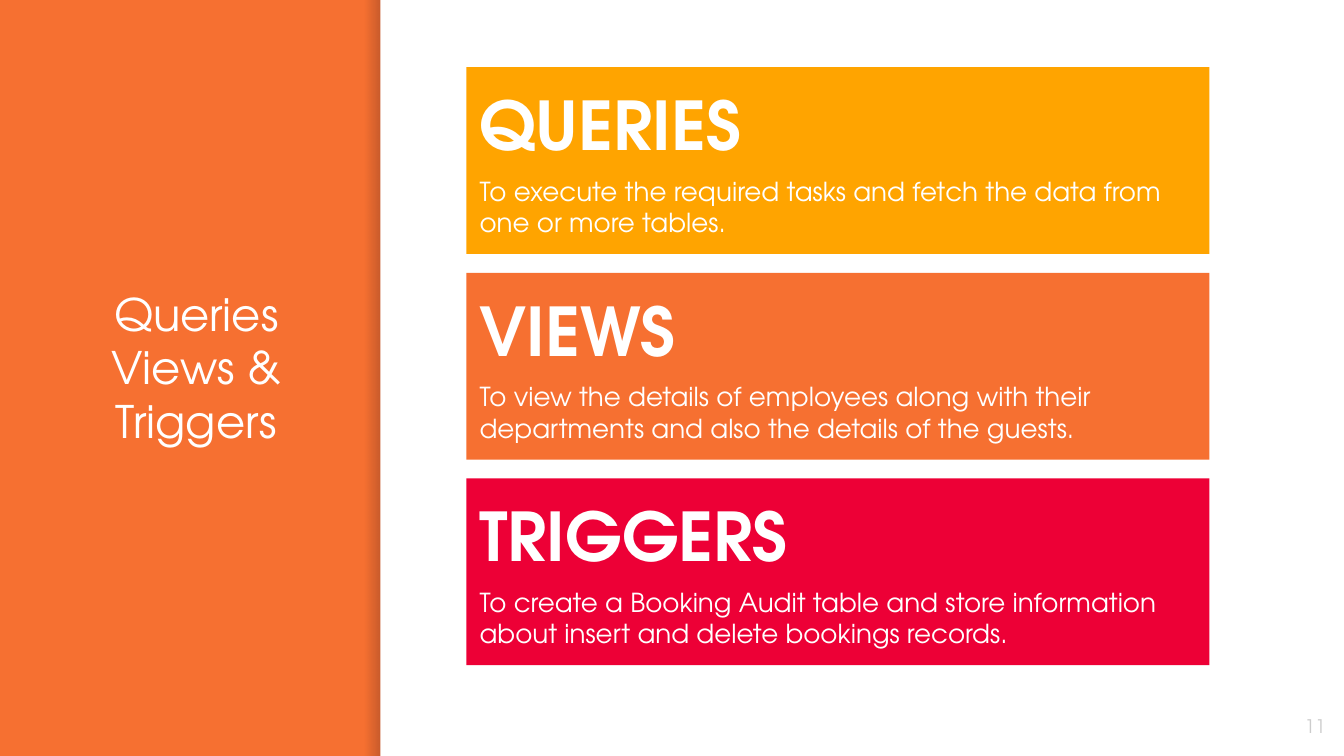
from dataclasses import dataclass
from lxml import etree
from pptx import Presentation
from pptx.dml.color import RGBColor
from pptx.enum import shapes, text
from pptx.oxml.ns import qn
from pptx.util import Inches, Pt


@dataclass(frozen=True)
class Theme:
    """Colours, font and type sizes."""
    font: str = "TeX Gyre Adventor"
    white: str = "FFFFFF"
    amber: str = "FFA400"
    orange: str = "F67031"
    red: str = "ED0036"
    gray: str = "CCCCCC"
    shade: str = "000014"
    title: int = 24
    head: int = 36
    body: int = 14
    small: int = 10


@dataclass(frozen=True)
class Box:
    """A rectangle in inches."""
    left: float
    top: float
    width: float
    height: float

    def size(self) -> tuple:
        """Return the four lengths."""
        return tuple(map(Inches, (self.left, self.top, self.width, self.height)))


@dataclass(frozen=True)
class Panel:
    """A coloured card with a heading and a note."""
    head: str
    note: str
    color: str


THEME = Theme()
WIDE = 10
HIGH = WIDE * 9 / 16
SPLIT = 2.83
FIRST, STEP = 0.5, 1.53
LINES = ("Queries", "Views &", "Triggers")
PANELS = (
    Panel("QUERIES", "To execute the required tasks and fetch the data from one or more tables.",
          THEME.amber),
    Panel("VIEWS", "To view the details of employees along with their departments "
          "and also the details of the guests.", THEME.orange),
    Panel("TRIGGERS", "To create a Booking Audit table and store information "
          "about insert and delete bookings records.", THEME.red),
)


def add_rect(slide, box: Box):
    """Add a plain rectangle without line or shadow."""
    rect = slide.shapes.add_shape(shapes.MSO_SHAPE.RECTANGLE, *box.size())
    rect.shadow.inherit = False
    rect.line.fill.background()
    return rect


def fill_flat(shape, color: str) -> None:
    """Fill a shape with one colour."""
    shape.fill.solid()
    shape.fill.fore_color.rgb = RGBColor.from_string(color)


def add_shade(slide, box: Box) -> None:
    """Add a soft shade that darkens to the right."""
    rect = add_rect(slide, box)
    rect.fill.gradient()
    rect.fill.gradient_angle = 0
    for stop in rect.fill.gradient_stops:
        stop.color.rgb = RGBColor.from_string(THEME.shade)
    for node, alpha in zip(rect.element.spPr.iter(qn("a:srgbClr")), (0, 20)):
        etree.SubElement(node, qn("a:alpha"), val=str(alpha * 1000))


def set_frame(shape, anchor):
    """Set insets, wrapping and anchor, and return the text frame."""
    frame = shape.text_frame
    frame.auto_size = text.MSO_AUTO_SIZE.NONE
    frame.word_wrap = True
    frame.vertical_anchor = anchor
    frame.margin_left = frame.margin_right = Inches(0.1)
    frame.margin_top = frame.margin_bottom = Inches(0.1)
    return frame


def add_run(para, words: str, size: int, color: str = THEME.white, bold: bool = False) -> None:
    """Add one formatted run to a paragraph."""
    run = para.add_run()
    run.text = words
    run.font.name = THEME.font
    run.font.size = Pt(size)
    run.font.bold = bold
    run.font.color.rgb = RGBColor.from_string(color)


def set_title(slide, box: Box) -> None:
    """Place the title and write its lines."""
    title = slide.shapes.title
    title.left, title.top, title.width, title.height = box.size()
    para = set_frame(title, text.MSO_ANCHOR.TOP).paragraphs[0]
    para.alignment = text.PP_ALIGN.CENTER
    for spot, line in enumerate(LINES):
        if spot:
            para.add_line_break()
        add_run(para, line, THEME.title)


def add_page(slide, box: Box, number: str) -> None:
    """Add the page number."""
    label = slide.shapes.add_textbox(*box.size())
    para = set_frame(label, text.MSO_ANCHOR.MIDDLE).paragraphs[0]
    para.alignment = text.PP_ALIGN.RIGHT
    add_run(para, number, THEME.small, THEME.gray)


def add_panel(slide, box: Box, panel: Panel) -> None:
    """Add one card."""
    card = add_rect(slide, box)
    fill_flat(card, panel.color)
    frame = set_frame(card, text.MSO_ANCHOR.MIDDLE)
    head, note = frame.paragraphs[0], frame.add_paragraph()
    head.alignment = note.alignment = text.PP_ALIGN.LEFT
    note.space_before = Pt(6)
    add_run(head, panel.head, THEME.head, bold=True)
    add_run(note, panel.note, THEME.body)


def main() -> None:
    """Build and save the slide."""
    deck = Presentation()
    deck.slide_width, deck.slide_height = Inches(WIDE), Inches(HIGH)
    slide = deck.slides.add_slide(deck.slide_layouts[5])
    fill_flat(slide.background, THEME.orange)
    add_shade(slide, Box(SPLIT - 0.12, 0, 0.12, HIGH))
    fill_flat(add_rect(slide, Box(SPLIT, 0, WIDE - SPLIT, HIGH)), THEME.white)
    set_title(slide, Box(0.34, 2.03, 2.24, 1.89))
    add_page(slide, Box(9.36, 5.19, 0.6, 0.43), "11")
    for row, panel in enumerate(PANELS):
        add_panel(slide, Box(3.47, FIRST + row * STEP, 5.53, 1.39), panel)
    deck.save("out.pptx")


if __name__ == "__main__":
    main()
